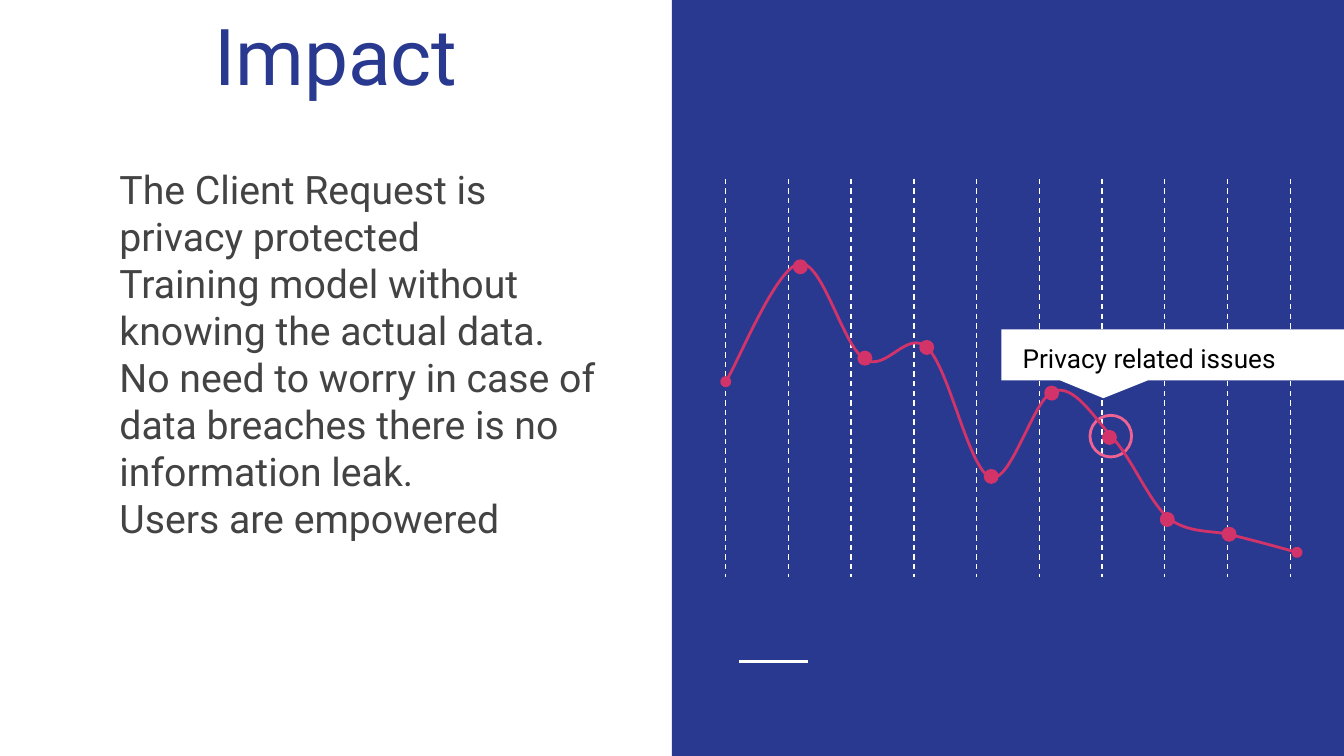
from dataclasses import dataclass

from lxml import etree
from pptx import Presentation
from pptx.dml.color import RGBColor
from pptx.enum import dml, shapes, text
from pptx.oxml import ns
from pptx.util import Inches, Pt

COLORS = {"navy": "2A3990", "white": "FFFFFF", "gray": "434343",
          "black": "000000", "pink": "F06292", "crimson": "D23369"}
FONT = "Roboto"
PAGE_WIDTH = 10
PAGE_HEIGHT = PAGE_WIDTH * 9 / 16
DOT_SIZE = 0.09
UNITS_PER_INCH = 100


@dataclass
class Box:
    left: float
    top: float
    width: float
    height: float

    def lengths(self):
        return [Inches(n) for n in (self.left, self.top, self.width, self.height)]


@dataclass
class Bend:
    """One curve segment: two control points and an end, in 1/100 inch."""
    first: tuple[int, int]
    second: tuple[int, int]
    end: tuple[int, int]


CURVE_START = (540, 284)
BENDS = [
    Bend((549, 270), (578, 199), (595, 196)),
    Bend((612, 194), (627, 257), (643, 267)),
    Bend((659, 278), (675, 244), (690, 259)),
    Bend((706, 273), (721, 350), (737, 355)),
    Bend((752, 361), (769, 296), (784, 291)),
    Bend((799, 286), (813, 309), (827, 325)),
    Bend((842, 340), (855, 374), (870, 386)),
    Bend((886, 398), (905, 394), (920, 399)),
    Bend((936, 403), (958, 409), (965, 411)),
]
DOTS = [(5.91, 1.94), (6.39, 2.62), (6.85, 2.54), (7.33, 3.5),
        (7.78, 2.88), (8.21, 3.21), (8.64, 3.82), (9.1, 3.93)]
BENEFITS = [
    "The Client Request is privacy protected",
    "Training model without knowing the actual data.",
    "No need to worry in case of data breaches there is no information leak.",
    "Users are empowered",
]


def rgb(name: str) -> RGBColor:
    return RGBColor.from_string(COLORS[name])


def style_shape(shape, fill: str | None = None, line: str | None = None) -> None:
    shape.shadow.inherit = False
    if fill:
        shape.fill.solid()
        shape.fill.fore_color.rgb = rgb(fill)
    else:
        shape.fill.background()
    if line:
        shape.line.color.rgb = rgb(line)
        shape.line.width = Pt(1.5)
    else:
        shape.line.fill.background()


def add_shape(page, kind, box: Box, fill: str | None = None, line: str | None = None):
    shape = page.shapes.add_shape(kind, *box.lengths())
    style_shape(shape, fill, line)
    return shape


def add_line(page, start, end, width: float, dashed: bool = False) -> None:
    line = page.shapes.add_connector(
        shapes.MSO_CONNECTOR.STRAIGHT, *[Inches(n) for n in (*start, *end)])
    line.line.color.rgb = rgb("white")
    line.line.width = Pt(width)
    if dashed:
        line.line.dash_style = dml.MSO_LINE.DASH
    etree.SubElement(line._element.spPr, ns.qn("a:effectLst"))


def write(box, lines: list[str], size: float, color: str, anchor,
          indent: float = 0, **paragraph_format) -> None:
    frame = box.text_frame
    settings = {"word_wrap": True, "auto_size": text.MSO_AUTO_SIZE.NONE,
                "vertical_anchor": anchor}
    settings |= {f"margin_{side}": Inches(0.1) for side in ("left", "top", "right", "bottom")}
    for name, value in settings.items():
        setattr(frame, name, value)
    frame.text = "\n".join(lines)
    for para in frame.paragraphs:
        for name, value in paragraph_format.items():
            setattr(para, name, value)
        if indent:
            para._p.get_or_add_pPr().set("marL", str(Inches(indent)))
        for span in para.runs:
            span.font.name = FONT
            span.font.size = Pt(size)
            span.font.color.rgb = rgb(color)


def add_text_box(page, box: Box, lines: list[str], size: float, color: str,
                 **layout) -> None:
    text_box = page.shapes.add_textbox(*box.lengths())
    write(text_box, lines, size, color, text.MSO_ANCHOR.TOP, **layout)


def add_curve(page) -> None:
    """Join the curve's points, then bend each straight segment."""
    builder = page.shapes.build_freeform(*CURVE_START, scale=Inches(1) / UNITS_PER_INCH)
    builder.add_line_segments([bend.end for bend in BENDS], close=False)
    curve = builder.convert_to_shape()
    style_shape(curve, line="crimson")

    left = min(CURVE_START[0], *(bend.end[0] for bend in BENDS))
    top = min(CURVE_START[1], *(bend.end[1] for bend in BENDS))
    segments = list(curve._element.iter(ns.qn("a:lnTo")))
    for segment, bend in zip(segments, BENDS):
        cubic = etree.Element(ns.qn("a:cubicBezTo"))
        for x, y in (bend.first, bend.second, bend.end):
            etree.SubElement(cubic, ns.qn("a:pt"), x=str(x - left), y=str(y - top))
        segment.getparent().replace(segment, cubic)
    for end in ("a:headEnd", "a:tailEnd"):
        etree.SubElement(curve.line._get_or_add_ln(), ns.qn(end), type="oval")


def main() -> None:
    deck = Presentation()
    deck.slide_width, deck.slide_height = Inches(PAGE_WIDTH), Inches(PAGE_HEIGHT)
    page = deck.slides.add_slide(deck.slide_layouts[5])
    kinds = shapes.MSO_SHAPE

    title = page.shapes.title
    title.left, title.top, title.width, title.height = Box(0.29, 0.15, 4.42, 0.7).lengths()
    write(title, ["Impact"], 42, "navy", text.MSO_ANCHOR.BOTTOM,
          alignment=text.PP_ALIGN.CENTER)

    half = PAGE_WIDTH / 2
    add_shape(page, kinds.RECTANGLE, Box(half, 0, half, PAGE_HEIGHT), fill="navy")
    add_line(page, (5.5, 4.92), (6.01, 4.92), 1.5)

    add_text_box(page, Box(0.29, 1.13, 4.42, 4.31), BENEFITS, 21, "gray",
                 indent=0.5, line_spacing=Pt(25.2))

    grid_left, grid_right, grid_count = 5.4, 9.6, 10
    for index in range(grid_count):
        x = grid_left + index * (grid_right - grid_left) / (grid_count - 1)
        add_line(page, (x, 1.33), (x, 4.29), 0.75, dashed=True)

    add_shape(page, kinds.OVAL, Box(8.11, 3.09, 0.31, 0.31), line="pink")
    callout = add_shape(page, kinds.ROUNDED_RECTANGULAR_CALLOUT,
                        Box(7.45, 2.45, 2.62, 0.38), fill="white")
    for index, value in enumerate((-0.21, 0.85, 0)):
        callout.adjustments[index] = value

    add_curve(page)
    for left, top in DOTS:
        add_shape(page, kinds.OVAL, Box(left, top, DOT_SIZE, DOT_SIZE), "crimson", "crimson")

    add_text_box(page, Box(7.51, 2.45, 2.38, 0.44), ["Privacy related issues"], 14, "black")
    deck.save("out.pptx")


if __name__ == "__main__":
    main()
